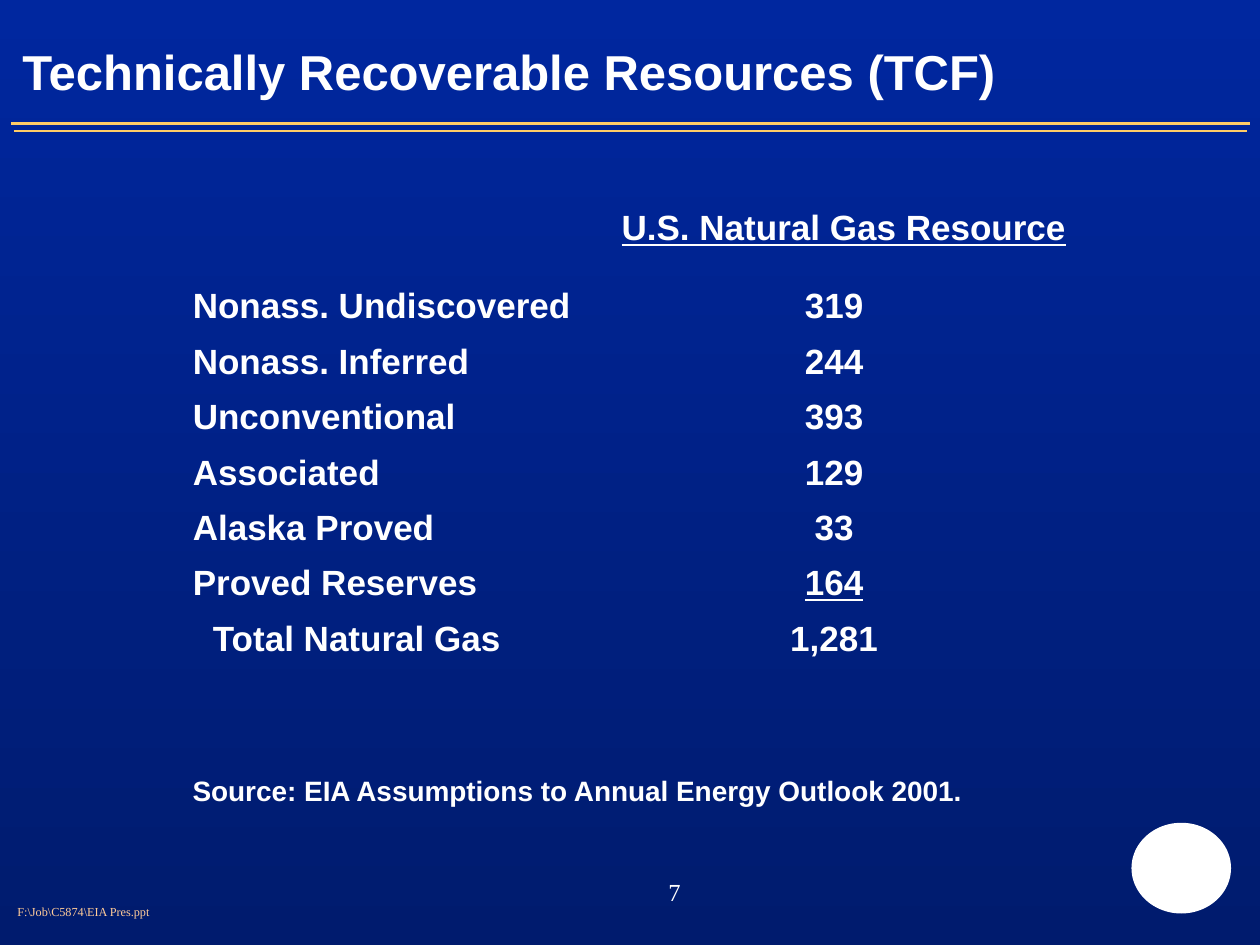
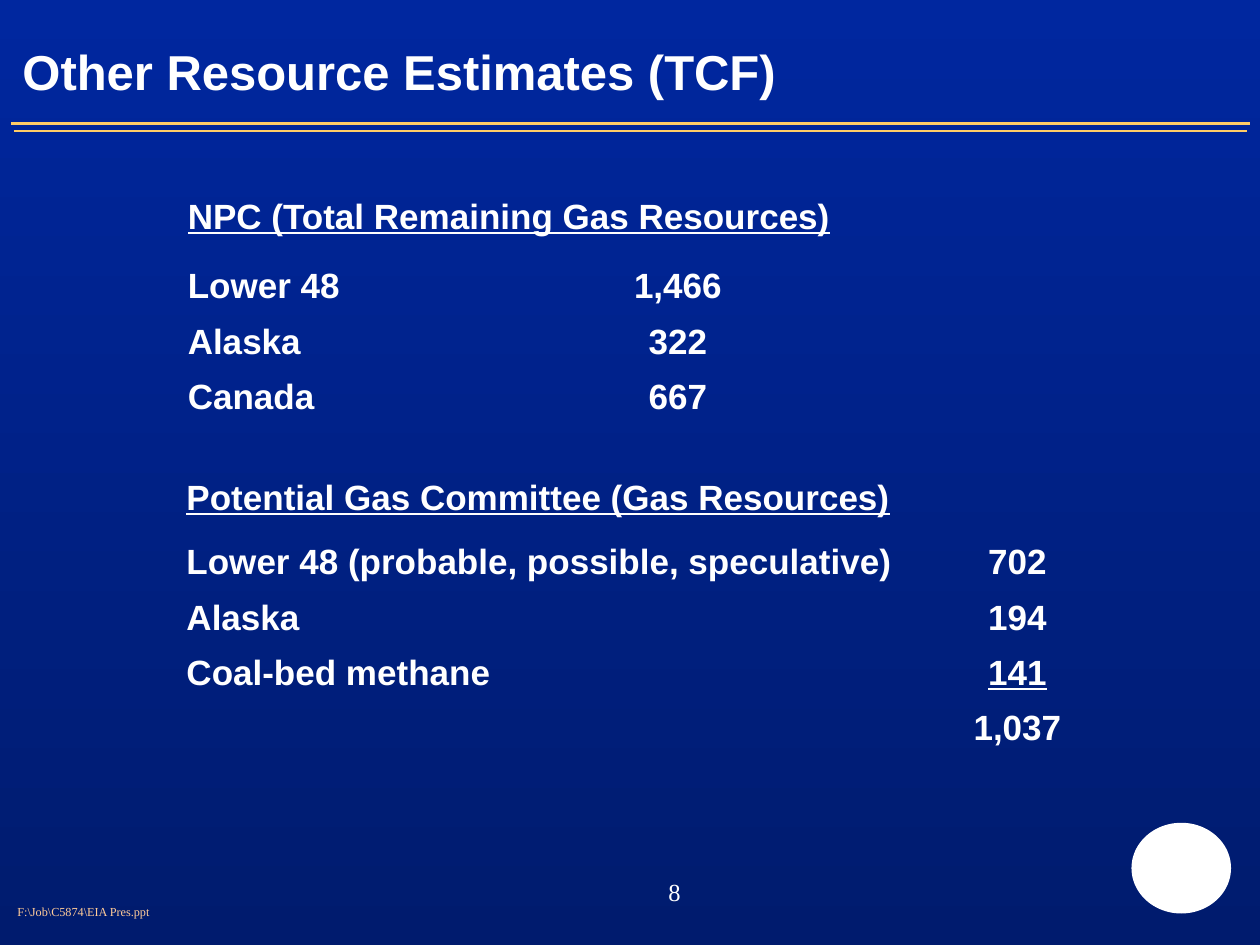
from lxml.etree import SubElement
from pptx import Presentation
from pptx.dml.color import RGBColor
from pptx.enum.shapes import MSO_CONNECTOR, MSO_SHAPE
from pptx.enum.text import MSO_ANCHOR, PP_ALIGN
from pptx.oxml.ns import qn
from pptx.util import Inches, Pt

WHITE = "FFFFFF"
GOLD = "FFCC66"
PEACH = "FFCC99"
SKY_TOP = "00279F"
SKY_BOTTOM = "001B6E"
SANS = "Arial"
SERIF = "Times New Roman"
PLAIN_TABLE = "{2D5ABB26-0587-4C30-8999-92F81FD0307C}"
ROW = 0.44
CELL_INSET = 0.1
TOTAL_INSET = 0.26


def color(hex_code):
    """Return the RGB colour for a hex string."""
    return RGBColor.from_string(hex_code)


def style(paragraph, size, font=SANS, hex_code=WHITE, bold=True,
          align=PP_ALIGN.LEFT, underline=False):
    """Set alignment and font of a paragraph."""
    paragraph.alignment = align
    paragraph.font.size = Pt(size)
    paragraph.font.name = font
    paragraph.font.bold = bold
    paragraph.font.underline = underline
    paragraph.font.color.rgb = color(hex_code)


def add_label(slide, text, box, size, anchor=MSO_ANCHOR.TOP, **look):
    """Add a one-line text box; box is left, top, width, height in inches."""
    frame = slide.shapes.add_textbox(*map(Inches, box)).text_frame
    frame.word_wrap = True
    frame.vertical_anchor = anchor
    frame.text = text
    style(frame.paragraphs[0], size, **look)


def add_rule(slide, left, right, y, weight):
    """Draw a horizontal gold line under the title."""
    rule = slide.shapes.add_connector(
        MSO_CONNECTOR.STRAIGHT, Inches(left), Inches(y), Inches(right), Inches(y))
    rule.line.color.rgb = color(GOLD)
    rule.line.width = Pt(weight)
    SubElement(rule._element.spPr, qn("a:effectLst"))


def add_emblem(slide):
    """Draw the plain white oval in the bottom right corner."""
    emblem = slide.shapes.add_shape(
        MSO_SHAPE.OVAL, Inches(8.98), Inches(6.53), Inches(0.79), Inches(0.72))
    emblem.shadow.inherit = False
    emblem.fill.solid()
    emblem.fill.fore_color.rgb = color(WHITE)
    emblem.line.fill.background()


def fill_cell(cell, text, **look):
    """Write a transparent, bottom-anchored table cell."""
    cell.fill.background()
    cell.vertical_anchor = MSO_ANCHOR.BOTTOM
    cell.margin_left = Inches(TOTAL_INSET if text.startswith("Total") else CELL_INSET)
    cell.text = text
    style(cell.text_frame.paragraphs[0], 20, **look)


def add_resources(slide, left, top, widths, header_heights, header, resources,
                  header_align=PP_ALIGN.LEFT, summed=False):
    """Add a resource table; a summed one underlines the value above its total."""
    heights = [*header_heights] + [ROW] * (len(resources) - 1)
    frame = slide.shapes.add_table(
        len(heights), 2, Inches(left), Inches(top),
        Inches(sum(widths)), Inches(sum(heights)))
    frame._element.find(".//" + qn("a:tableStyleId")).text = PLAIN_TABLE
    table = frame.table
    table.first_row = table.horz_banding = False
    for column, width in zip(table.columns, widths):
        column.width = Inches(width)
    for row, height in zip(table.rows, heights):
        row.height = Inches(height)
    table.cell(0, 0).merge(table.cell(0, 1))
    fill_cell(table.cell(0, 0), header, align=header_align, underline=True)
    for number, (resource, volume) in enumerate(resources, 1):
        last_addend = summed and number == len(resources) - 1
        fill_cell(table.cell(number, 0), resource)
        fill_cell(table.cell(number, 1), volume,
                  align=PP_ALIGN.CENTER, underline=last_addend)


def set_background(master):
    """Give every slide the blue gradient, top to bottom."""
    fill = master.background.fill
    fill.gradient()
    fill.gradient_angle = 270
    for stop, hex_code in zip(fill.gradient_stops, (SKY_TOP, SKY_BOTTOM)):
        stop.color.rgb = color(hex_code)


def add_page(prs, title, number):
    """Add a slide with title, rules, emblem and footer."""
    slide = prs.slides.add_slide(prs.slide_layouts[6])
    add_rule(slide, 0.09, 9.92, 0.98, 2)
    add_rule(slide, 0.11, 9.9, 1.04, 1)
    add_label(slide, "F:\\Job\\C5874\\EIA Pres.ppt", (0.04, 7.13, 3.29, 0.22), 7,
              font=SERIF, hex_code=PEACH, bold=False)
    add_emblem(slide)
    add_label(slide, title, (0.08, 0.08, 9.81, 0.96), 28, MSO_ANCHOR.MIDDLE)
    add_label(slide, str(number), (3.42, 6.83, 2.08, 0.5), 14, MSO_ANCHOR.MIDDLE,
              font=SERIF, bold=False, align=PP_ALIGN.RIGHT)
    return slide


def main():
    """Build the two resource slides."""
    prs = Presentation()
    prs.slide_width, prs.slide_height = Inches(10), Inches(7.5)
    set_background(prs.slide_master)

    recoverable = add_page(prs, "Technically Recoverable Resources (TCF)", 7)
    add_resources(
        recoverable, 1.43, 1.58, (3.25, 3.88), (ROW, 0.62),
        "U.S. Natural Gas Resource",
        [("Nonass. Undiscovered", "319"), ("Nonass. Inferred", "244"),
         ("Unconventional", "393"), ("Associated", "129"),
         ("Alaska Proved", "33"), ("Proved Reserves", "164"),
         ("Total Natural Gas", "1,281")],
        header_align=PP_ALIGN.RIGHT, summed=True)
    add_label(recoverable, "Source: EIA Assumptions to Annual Energy Outlook 2001.",
              (1.43, 6.09, 6.6, 0.37), 16)

    estimates = add_page(prs, "Other Resource Estimates (TCF)", 8)
    add_resources(
        estimates, 1.39, 1.33, (2.28, 3.42), (0.6, 0.55),
        "NPC (Total Remaining Gas Resources)",
        [("Lower 48", "1,466"), ("Alaska", "322"), ("Canada", "667")])
    add_resources(
        estimates, 1.38, 3.53, (6.1, 1.19), (0.63, 0.51),
        "Potential Gas Committee (Gas Resources)\t",
        [("Lower 48 (probable, possible, speculative)", "702"), ("Alaska", "194"),
         ("Coal-bed methane", "141"), ("", "1,037")],
        summed=True)

    prs.save("out.pptx")


if __name__ == "__main__":
    main()
